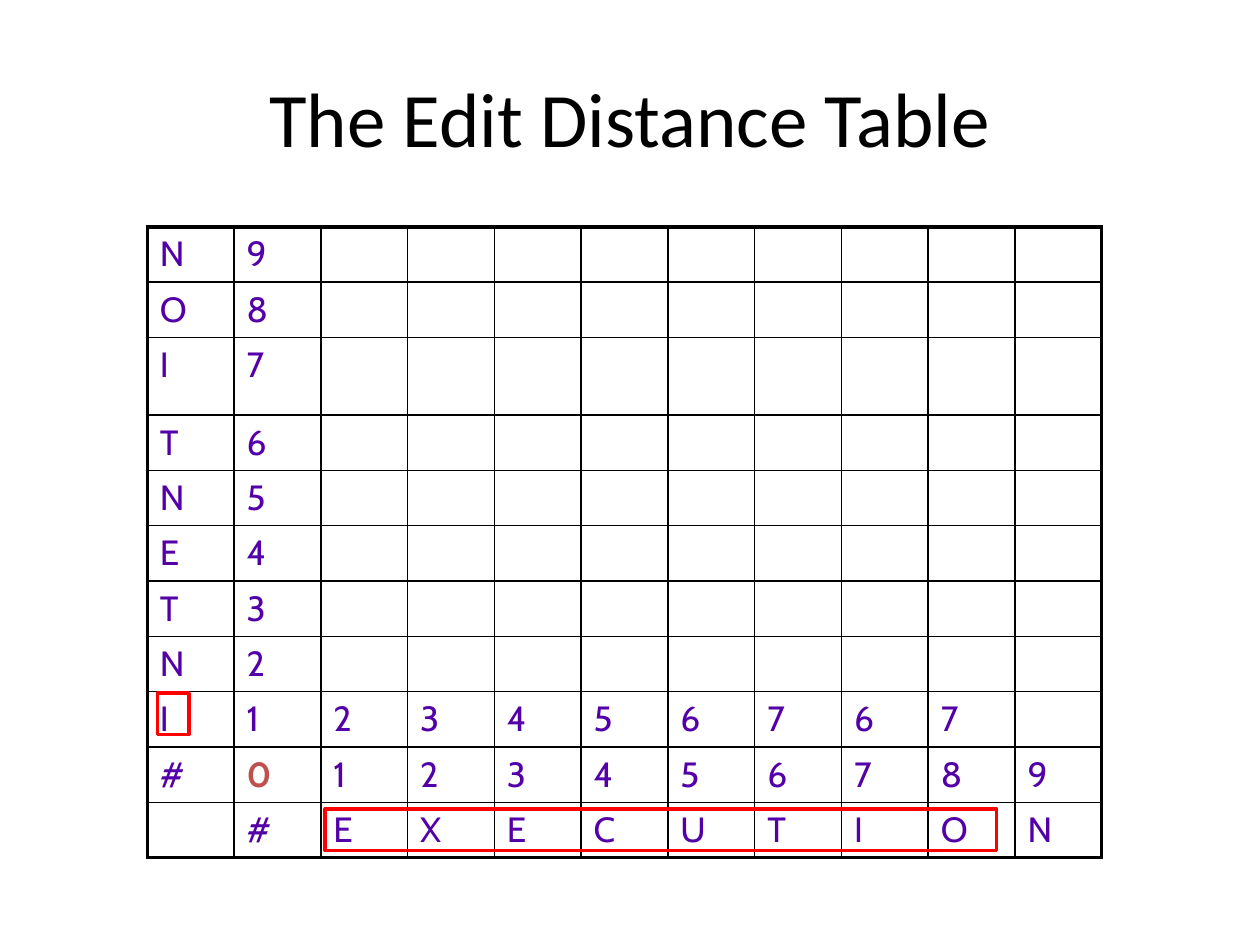
from typing import NamedTuple

from lxml import etree
from pptx import Presentation
from pptx import util as u
from pptx.dml.color import RGBColor
from pptx.enum import shapes, text
from pptx.oxml import ns

BLACK, PURPLE, BRICK, RED = "000000", "5400A8", "C0504D", "FF0000"
SOURCE, TARGET = "INTENTION", "EXECUTION"
FIRST_DISTANCES = "23456767"
COLUMN_WIDTH, ROW_HEIGHT, TALL_ROW_HEIGHT = 49.6, 31.2, 44.4
TALL_ROW = 2
THIN, THICK = 1, 2.25


class Highlight(NamedTuple):
    left: float
    top: float
    width: float
    height: float


HIGHLIGHTS = [
    Highlight(185.8, 462.2, 383.8, 23.8),
    Highlight(90, 396, 18, 23.8),
]


def rgb(hex_color: str) -> RGBColor:
    return RGBColor.from_string(hex_color)


def distance_rows() -> list[str]:
    """Rows from top to bottom, one character per cell."""
    width = len(TARGET) + 2
    rows = [f"{letter}{n}" for n, letter in enumerate(SOURCE, start=1)]
    rows[0] += FIRST_DISTANCES
    base = "#" + "".join(str(n) for n in range(len(TARGET) + 1))
    return [row.ljust(width) for row in rows[::-1] + [base, " #" + TARGET]]


def add_border(cell, side: str, weight: float) -> None:
    line = etree.SubElement(cell._tc.get_or_add_tcPr(), ns.qn(f"a:ln{side}"), w=str(u.Pt(weight)))
    fill = etree.SubElement(line, ns.qn("a:solidFill"))
    etree.SubElement(fill, ns.qn("a:srgbClr"), val=BLACK)


def write_cell(cell, symbol: str) -> None:
    cell.text = symbol
    font = cell.text_frame.paragraphs[0].font
    font.name, font.size = "Cabin", u.Pt(20)
    font.bold = symbol == "0"
    font.color.rgb = rgb(BRICK if symbol == "0" else PURPLE)


def add_distance_table(slide, rows: list[str]) -> None:
    row_count, column_count = len(rows), len(rows[0])
    table = slide.shapes.add_table(
        row_count, column_count, u.Pt(84.2), u.Pt(129.6),
        u.Pt(COLUMN_WIDTH * column_count),
        u.Pt(ROW_HEIGHT * (row_count - 1) + TALL_ROW_HEIGHT),
    ).table
    table.first_row = table.horz_banding = False
    for column in table.columns:
        column.width = u.Pt(COLUMN_WIDTH)
    for r, symbols in enumerate(rows):
        table.rows[r].height = u.Pt(TALL_ROW_HEIGHT if r == TALL_ROW else ROW_HEIGHT)
        for c, symbol in enumerate(symbols):
            cell = table.cell(r, c)
            outer_edges = {
                "L": c == 0, "R": c == column_count - 1,
                "T": r == 0, "B": r == row_count - 1,
            }
            for side, is_outer in outer_edges.items():
                add_border(cell, side, THICK if is_outer else THIN)
            cell.fill.background()
            if symbol.strip():
                write_cell(cell, symbol)


def add_highlight(slide, highlight: Highlight) -> None:
    frame = slide.shapes.add_shape(shapes.MSO_SHAPE.RECTANGLE, *map(u.Pt, highlight))
    frame.shadow.inherit = False
    frame.fill.background()
    frame.line.color.rgb = rgb(RED)
    frame.line.width = u.Pt(2)


def add_title(slide, wording: str) -> None:
    title = slide.shapes.title
    title.left, title.top, title.width, title.height = map(u.Pt, (36, 21.6, 648, 90))
    title.text_frame.text = wording
    title.text_frame.vertical_anchor = text.MSO_ANCHOR.MIDDLE
    heading = title.text_frame.paragraphs[0]
    heading.alignment = text.PP_ALIGN.CENTER
    heading.font.name, heading.font.size = "Calibri", u.Pt(44)
    heading.font.color.rgb = rgb(BLACK)


def main() -> None:
    deck = Presentation()
    deck.slide_width, deck.slide_height = u.Pt(720), u.Pt(540)
    slide = deck.slides.add_slide(deck.slide_layouts[5])
    add_title(slide, "The Edit Distance Table")
    add_distance_table(slide, distance_rows())
    for highlight in HIGHLIGHTS:
        add_highlight(slide, highlight)
    deck.save("out.pptx")


if __name__ == "__main__":
    main()
